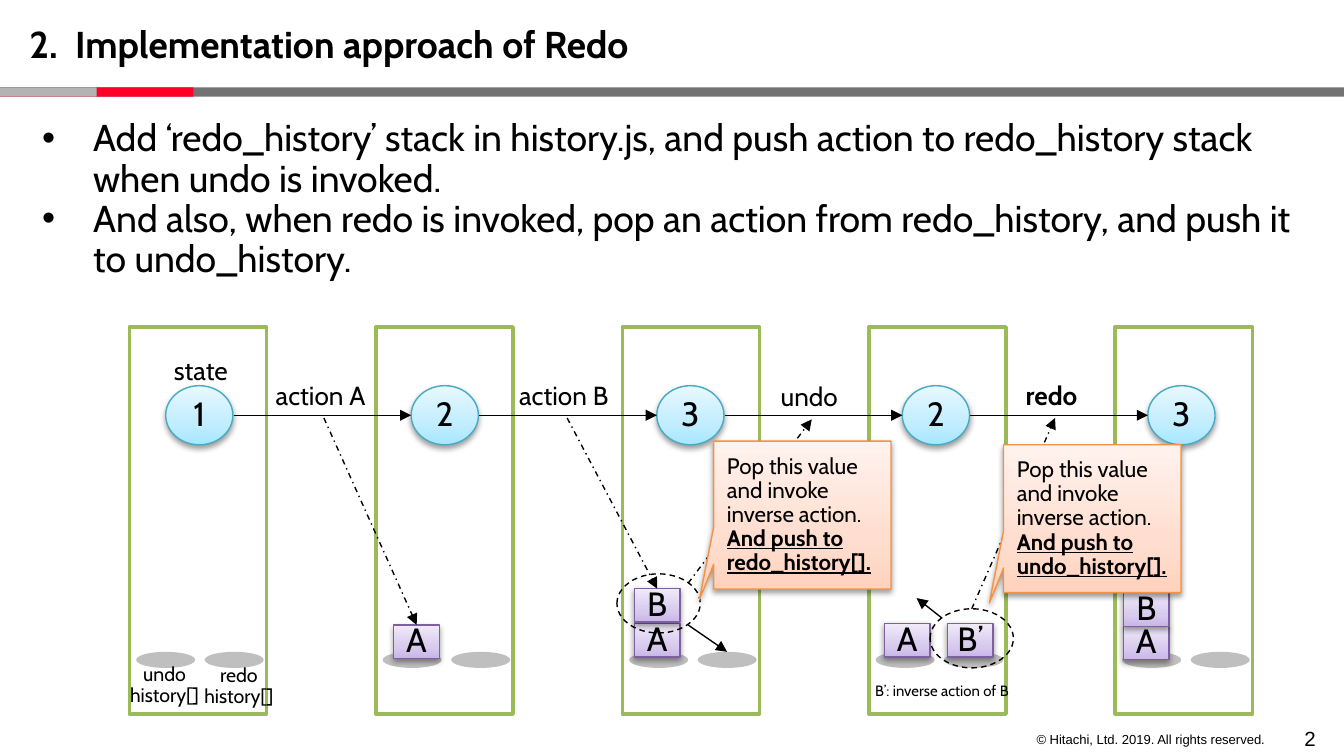
import pptx
import pptx.util
import pptx.dml.color
import pptx.enum.dml
import pptx.enum.shapes
import pptx.enum.text
import pptx.oxml.ns
from lxml import etree

RGB = pptx.dml.color.RGBColor
BLACK = RGB(0x00, 0x00, 0x00)
WHITE = RGB(0xFF, 0xFF, 0xFF)
GRAY = RGB(0x73, 0x73, 0x73)
RED = RGB(0xFF, 0x00, 0x26)
SILVER = RGB(0xB3, 0xB3, 0xB3)
DISC = RGB(0xBF, 0xBF, 0xBF)
GREEN = RGB(0x9B, 0xBB, 0x59)
TEAL = RGB(0x46, 0xAA, 0xC5)
PURPLE = RGB(0x7D, 0x60, 0xA0)
ORANGE = RGB(0xF6, 0x92, 0x40)
SKY = [RGB(0xA7, 0xE6, 0xFF), RGB(0xC1, 0xED, 0xFF), RGB(0xE7, 0xF8, 0xFF)]
LILAC = [RGB(0xC9, 0xB5, 0xE8), RGB(0xD8, 0xCB, 0xEE), RGB(0xF0, 0xEA, 0xF9)]
PEACH = [RGB(0xFF, 0xD2, 0xBD), RGB(0xFF, 0xDE, 0xD0), RGB(0xFF, 0xF2, 0xED)]

KIND = pptx.enum.shapes.MSO_SHAPE
DASH = pptx.enum.dml.MSO_LINE
LEFT, MID, RIGHT = (pptx.enum.text.PP_ALIGN.LEFT, pptx.enum.text.PP_ALIGN.CENTER,
                    pptx.enum.text.PP_ALIGN.RIGHT)
qn = pptx.oxml.ns.qn

deck = pptx.Presentation()
deck.slide_width = pptx.util.Inches(10)
deck.slide_height = deck.slide_width * 9 // 16
COL = ROW = deck.slide_width / 100
slide = deck.slides.add_slide(deck.slide_layouts[6])


def write(shape, text, size=14, font="Cabin", align=LEFT, wrap=False, strong=99,
          line=False, bullet=False, tab=0):
    frame = shape.text_frame
    frame.word_wrap = wrap
    for i, words in enumerate(text.split("\n")):
        para = frame.paragraphs[0] if i == 0 else frame.add_paragraph()
        para.alignment = align
        para.line_spacing = 0.9
        props = para._p.get_or_add_pPr()
        if bullet:
            props.set("marL", str(int(3.8 * COL)))
            props.set("indent", str(int(-3.8 * COL)))
            etree.SubElement(props, qn("a:buFont"), typeface="Arial")
            etree.SubElement(props, qn("a:buChar"), char="•")
        if tab:
            tabs = etree.SubElement(props, qn("a:tabLst"))
            etree.SubElement(tabs, qn("a:tab"), pos=str(int(tab * COL)), algn="l")
        run = para.add_run()
        run.text = words
        run.font.size = pptx.util.Pt(size)
        run.font.name = font
        run.font.color.rgb = BLACK
        run.font.bold = i >= strong
        run.font.underline = line and i >= strong


def draw(kind, x, y, w, h, fill=None, edge=None, width=0.75):
    box = [int(x * COL), int(y * ROW), int(w * COL), int(h * ROW)]
    if kind is None:
        return slide.shapes.add_textbox(*box)
    shape = slide.shapes.add_shape(kind, *box)
    shape.shadow.inherit = False
    shape.text_frame.vertical_anchor = pptx.enum.text.MSO_ANCHOR.MIDDLE
    if fill is None:
        shape.fill.background()
    elif isinstance(fill, list):
        shape.fill.gradient()
        shape.fill.gradient_angle = 90
        stops = shape._element.spPr.find(qn("a:gradFill")).find(qn("a:gsLst"))
        for old in list(stops):
            stops.remove(old)
        for pos, tone in zip((0, 35, 100), fill):
            stop = etree.SubElement(stops, qn("a:gs"), pos=str(pos * 1000))
            etree.SubElement(stop, qn("a:srgbClr"), val=str(tone))
        glow = etree.SubElement(shape._element.spPr.find(qn("a:effectLst")), qn("a:outerShdw"),
                                blurRad="40000", dist="20000", dir="5400000", rotWithShape="0")
        shade = etree.SubElement(glow, qn("a:srgbClr"), val=str(BLACK))
        etree.SubElement(shade, qn("a:alpha"), val="38000")
    else:
        shape.fill.solid()
        shape.fill.fore_color.rgb = fill
    if edge is None:
        shape.line.fill.background()
    else:
        shape.line.color.rgb = edge
        shape.line.width = pptx.util.Pt(width)
    return shape


write(draw(None, 93.6, 53.75, 5.3, 2.5), "2", size=11, font="Arial", align=RIGHT, wrap=True)
write(draw(None, 75.7, 54.1, 19.4, 2.1), "© Hitachi, Ltd. 2019. All rights reserved.",
      size=7, font="Arial", align=RIGHT)
for w, tone in ((100, GRAY), (14.4, RED), (7.2, SILVER)):
    draw(KIND.RECTANGLE, 0, 6.5, w, 0.7, tone)
write(draw(None, 1.2, 1.5, 53.6, 4), "2.\tImplementation approach of Redo",
      size=20, strong=0, tab=3.4)

STEP, GAP = 18.34, 18.27
for i, state in enumerate("12323"):
    draw(KIND.RECTANGLE, 9.63 + i * STEP, 24.33, 10.2, 28.8, WHITE, GREEN, 2)
    for side in range(2):
        draw(KIND.OVAL, 10.13 + i * STEP + side * 5.1, 48.5, 4.4, 1.2, DISC)
    ball = draw(KIND.OVAL, 12.33 + i * GAP, 28.7, 5, 4.4, SKY, TEAL)
    write(ball, state, size=18, align=MID)

for name, x, y, w, strong in (
    ("state", 11.95, 26.15, 6.2, 99), ("action A", 19.53, 28, 9.1, 99),
    ("action B", 37.65, 28, 9, 99), ("undo", 57.1, 28.05, 6.5, 99),
    ("redo", 75.33, 28, 6.3, 0),
):
    write(draw(None, x, y, w, 3.1), name, strong=strong)

for name, x, y in (
    ("A", 47.2, 46.4), ("B", 47.2, 43.8), ("A", 29.3, 46.5), ("A", 65.8, 46.4),
    ("B’", 70.5, 46.4), ("A", 83.6, 46.6), ("B", 83.6, 44.1),
):
    write(draw(KIND.RECTANGLE, x, y, 3.4, 2.5, LILAC, PURPLE), name, size=18, align=MID)

for x, y in ((45.9, 42.7), (69.2, 45.3)):
    draw(KIND.OVAL, x, y, 6.2, 4.4, edge=BLACK).line.dash_style = DASH.DASH

solid = [(17.4 + i * GAP, 30.9, 30.6 + i * GAP, 30.9) for i in range(4)]
solid += [(51.2, 46.5, 54.1, 48.5), (70.1, 46, 68.2, 44.5)]
dotted = [(24.1, 31.1, 31, 46.5), (42.2, 31.1, 48.9, 43.8),
          (51.2, 43.4, 60.4, 31.2), (72.3, 45.3, 78.5, 31.1)]
for x, y, right, low in solid + dotted:
    arrow = slide.shapes.add_connector(
        pptx.enum.shapes.MSO_CONNECTOR.STRAIGHT,
        int(x * COL), int(y * ROW), int(right * COL), int(low * ROW))
    arrow.line.color.rgb = BLACK
    arrow.line.width = pptx.util.Pt(0.75)
    if (x, y, right, low) in dotted:
        arrow.line.dash_style = DASH.DASH_DOT
    etree.SubElement(arrow.line._get_or_add_ln(), qn("a:tailEnd"), type="triangle")
    etree.SubElement(arrow._element.spPr, qn("a:effectLst"))

for name, x, y in (("undo", 8.6, 48.95), ("redo", 14.13, 49)):
    write(draw(None, x, y, 7.3, 4.2), name + "\nhistory[]", size=10.5, align=MID)

for name, x, y in (("redo", 53.1, 32.83), ("undo", 74.67, 33.1)):
    note = draw(KIND.RECTANGULAR_CALLOUT, x, y, 13.2, 11, PEACH, ORANGE)
    note.adjustments[0], note.adjustments[1] = -0.58, 0.57
    write(note, f"Pop this value\nand invoke\ninverse action.\nAnd push to\n{name}_history[].",
          size=12, strong=3, line=True)

write(draw(None, 2.15, 8.4, 95.7, 13.1),
      "Add ‘redo_history’ stack in history.js, and push action to redo_history stack "
      "when undo is invoked.\nAnd also, when redo is invoked, pop an action from "
      "redo_history, and push it to undo_history.", size=20, wrap=True, bullet=True)
write(draw(None, 63.8, 50.4, 12.6, 2.2), "B’: inverse action of B", size=8, align=MID)

deck.save("out.pptx")
